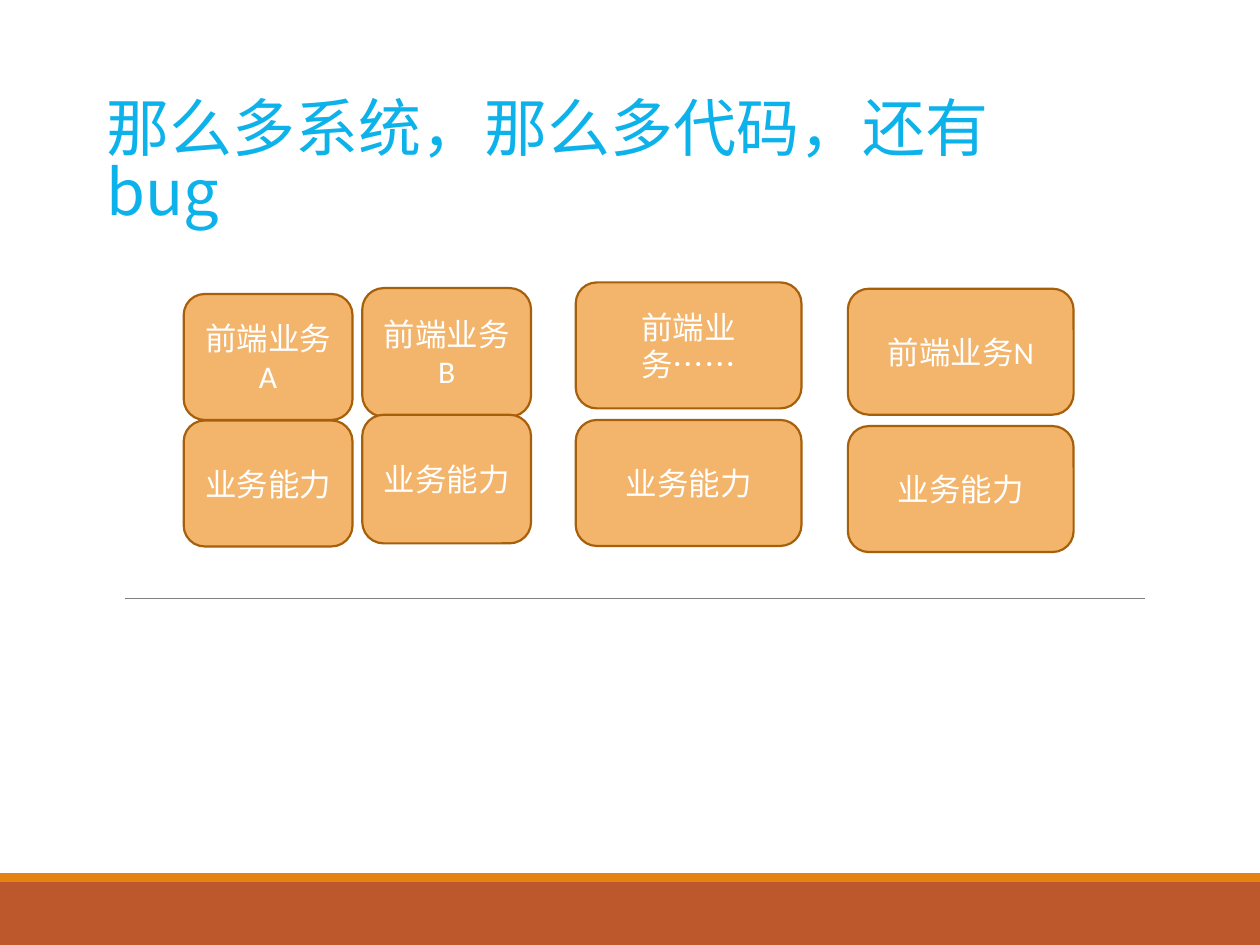
"""Build a slide of front-end businesses, each above its own capability."""
from pptx import Presentation
from pptx.dml.color import RGBColor
from pptx.enum.shapes import MSO_CONNECTOR, MSO_SHAPE
from pptx.enum.text import MSO_ANCHOR, PP_ALIGN
from pptx.oxml.ns import qn
from pptx.util import Pt
from lxml import etree

RECT, ROUNDED = MSO_SHAPE.RECTANGLE, MSO_SHAPE.ROUNDED_RECTANGLE
STRAIGHT = MSO_CONNECTOR.STRAIGHT
MIDDLE, BOTTOM = MSO_ANCHOR.MIDDLE, MSO_ANCHOR.BOTTOM
CENTER = PP_ALIGN.CENTER


def rgb(color):
    return RGBColor.from_string(color)


def add_box(kind, left, top, width, height, fill):
    sp = s.shapes.add_shape(kind, Pt(left), Pt(top), Pt(width), Pt(height))
    sp.shadow.inherit = False
    sp.fill.solid()
    sp.fill.fore_color.rgb = rgb(fill)
    sp.line.fill.background()
    return sp


prs = Presentation()
prs.slide_width, prs.slide_height = Pt(720), Pt(540)
s = prs.slides.add_slide(prs.slide_layouts[6])

add_box(RECT, 0, 504, 720, 36, "BD582C")
add_box(RECT, 0, 499, 720, 5, "E48312")

rule = s.shapes.add_connector(STRAIGHT, Pt(71.3), Pt(342), Pt(654.5), Pt(342))
rule.line.color.rgb = rgb("7F7F7F")
rule.line.width = Pt(0.5)
etree.SubElement(rule._element.spPr, qn("a:effectLst"))

title = s.shapes.add_textbox(Pt(54), Pt(54.7), Pt(584), Pt(79.2))
tf = title.text_frame
tf.word_wrap = True
tf.vertical_anchor = BOTTOM
tf.margin_right = Pt(20)
p = tf.paragraphs[0]
p.text = "那么多系统，那么多代码，还有bug"
p.line_spacing = 0.85
p.font.name = "Noto Sans CJK SC"
p.font.size = Pt(36)
p.font.color.rgb = rgb("0DB2EA")

# name, left, width, height, business top, capability top
columns = [
    ("前端业务A", 105, 96.5, 72, 168, 240.3),
    ("前端业务B", 207, 96.5, 73.5, 164.6, 237),
    ("前端业务……", 329, 129, 72, 161.4, 240),
    ("前端业务N", 484.5, 129, 72, 165, 243.5),
]
for name, left, width, height, business_top, capability_top in columns:
    for text, top in ((name, business_top), ("业务能力", capability_top)):
        sp = add_box(ROUNDED, left, top, width, height, "F3B56C")
        sp.line.color.rgb = rgb("A75F0A")
        sp.line.width = Pt(1.25)
        tf = sp.text_frame
        tf.word_wrap = True
        tf.vertical_anchor = MIDDLE
        p = tf.paragraphs[0]
        p.text = text
        p.alignment = CENTER
        p.font.name = "Calibri"
        p.font.size = Pt(18)
        p.font.color.rgb = rgb("FFFFFF")

prs.save("out.pptx")
